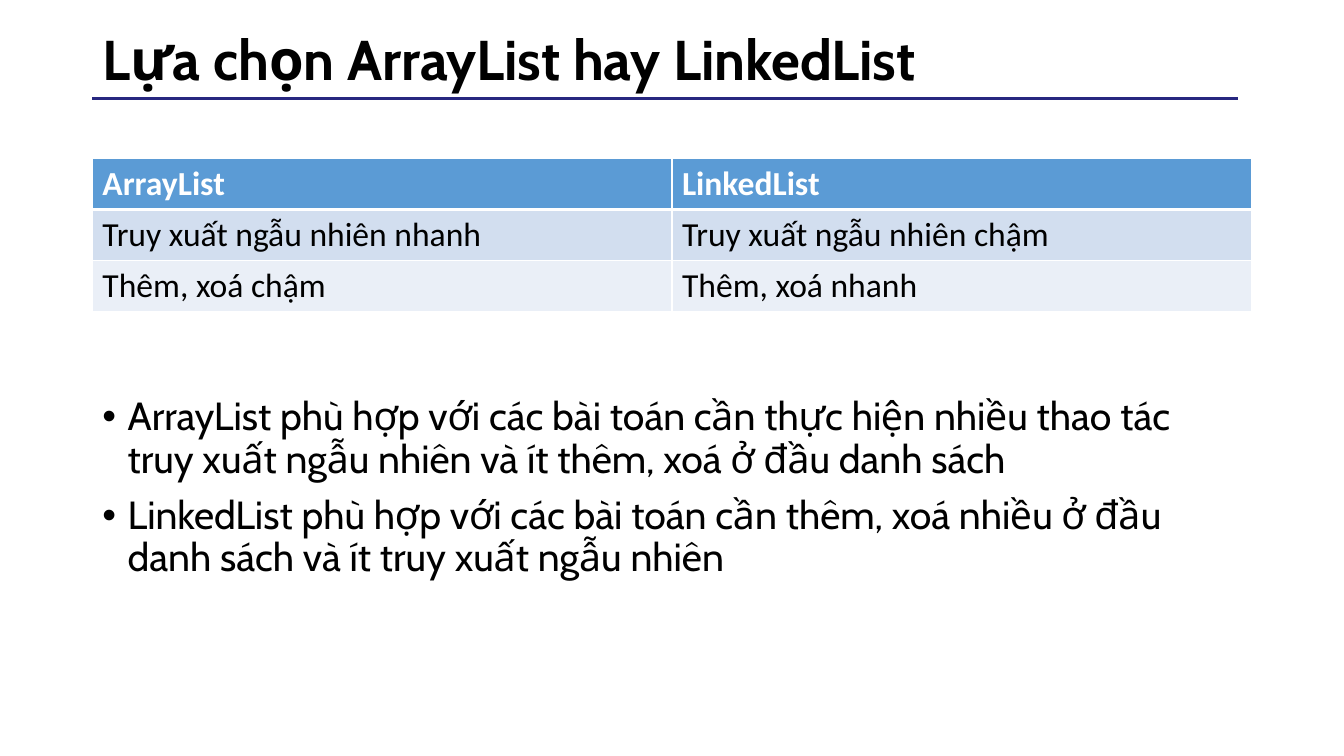
from dataclasses import dataclass

from lxml.etree import SubElement
from pptx import Presentation
from pptx.dml.color import RGBColor as Rgb
from pptx.enum.shapes import MSO_CONNECTOR as Connector
from pptx.enum.text import MSO_ANCHOR as Anchor, MSO_AUTO_SIZE as AutoSize, PP_ALIGN as Align
from pptx.oxml import parse_xml
from pptx.oxml.ns import nsdecls, qn
from pptx.util import Pt

# Content
TITLE = "Lựa chọn ArrayList hay LinkedList"
COMPARISON = [
    ("ArrayList", "LinkedList"),
    ("Truy xuất ngẫu nhiên nhanh", "Truy xuất ngẫu nhiên chậm"),
    ("Thêm, xoá chậm", "Thêm, xoá nhanh"),
]
ADVICE = [
    "ArrayList phù hợp với các bài toán cần thực hiện nhiều thao tác "
    "truy xuất ngẫu nhiên và ít thêm, xoá ở đầu danh sách",
    "LinkedList phù hợp với các bài toán cần thêm, xoá nhiều ở đầu "
    "danh sách và ít truy xuất ngẫu nhiên",
]


@dataclass(frozen=True)
class Theme:
    text: str = "000000"
    white: str = "FFFFFF"
    rule: str = "272780"
    row_fills: tuple = ("5B9BD5", "D2DEEF", "EAEFF7")
    heading_font: str = "Cabin"
    table_font: str = "Calibri"
    title_size: int = 40
    body_size: int = 28
    table_size: int = 24


THEME = Theme()

# Layout in points
LEFT, WIDTH = 66, 828
ROW_HEIGHT = 36
INDENT = 18


def write(para, text, *, font, size, color=THEME.text, bold=False, spacing=None, before=0):
    para.alignment = Align.LEFT
    para.line_spacing = spacing
    para.space_before = Pt(before)
    span = para.add_run()
    span.text = text
    span.font.name = font
    span.font.size = Pt(size)
    span.font.bold = bold
    span.font.color.rgb = Rgb.from_string(color)


def place(box, top, height, anchor):
    box.left, box.top, box.width, box.height = Pt(LEFT), Pt(top), Pt(WIDTH), Pt(height)
    frame = box.text_frame
    frame.word_wrap = True
    frame.auto_size = AutoSize.NONE
    frame.vertical_anchor = anchor
    return frame


def add_bullet(para):
    properties = para._p.get_or_add_pPr()
    properties.set("marL", str(Pt(INDENT)))
    properties.set("indent", str(-Pt(INDENT)))
    SubElement(properties, qn("a:buFont")).set("typeface", "Arial")
    SubElement(properties, qn("a:buChar")).set("char", "•")


def add_borders(cell, **widths):
    properties = cell._tc.get_or_add_tcPr()
    for index, (side, width) in enumerate(widths.items()):
        properties.insert(index, parse_xml(
            f'<a:ln{side} {nsdecls("a")} w="{Pt(width)}"><a:solidFill>'
            f'<a:srgbClr val="{THEME.white}"/></a:solidFill></a:ln{side}>'))


deck = Presentation()
deck.slide_width, deck.slide_height = Pt(960), Pt(540)
page = deck.slides.add_slide(deck.slide_layouts[1])

# Title and its rule
title = place(page.shapes.title, 12.24, 64, Anchor.MIDDLE)
write(title.paragraphs[0], TITLE, font=THEME.heading_font, size=THEME.title_size,
      bold=True, spacing=0.9)
rule = page.shapes.add_connector(Connector.STRAIGHT, Pt(884), Pt(70.5), Pt(LEFT), Pt(70.5))
rule.line.color.rgb = Rgb.from_string(THEME.rule)
rule.line.width = Pt(2)
SubElement(rule._element.spPr, qn("a:effectLst"))

# Comparison table
rows, columns = len(COMPARISON), len(COMPARISON[0])
table = page.shapes.add_table(rows, columns, Pt(LEFT), Pt(113.2),
                              Pt(WIDTH), Pt(rows * ROW_HEIGHT)).table
for r, entries in enumerate(COMPARISON):
    table.rows[r].height = Pt(ROW_HEIGHT)
    header = r == 0
    for c, entry in enumerate(entries):
        cell = table.cell(r, c)
        cell.fill.solid()
        cell.fill.fore_color.rgb = Rgb.from_string(THEME.row_fills[r])
        add_borders(cell, L=1, R=1, T=3 if r == 1 else 1, B=3 if header else 1)
        write(cell.text_frame.paragraphs[0], entry, font=THEME.table_font,
              size=THEME.table_size, bold=header,
              color=THEME.white if header else THEME.text)

# Advice list
advice = place(page.placeholders[1], 280, 206.6, Anchor.TOP)
for index, sentence in enumerate(ADVICE):
    para = advice.add_paragraph() if index else advice.paragraphs[0]
    add_bullet(para)
    write(para, sentence, font=THEME.heading_font, size=THEME.body_size,
          spacing=0.9, before=10 if index else 0)

deck.save("out.pptx")
